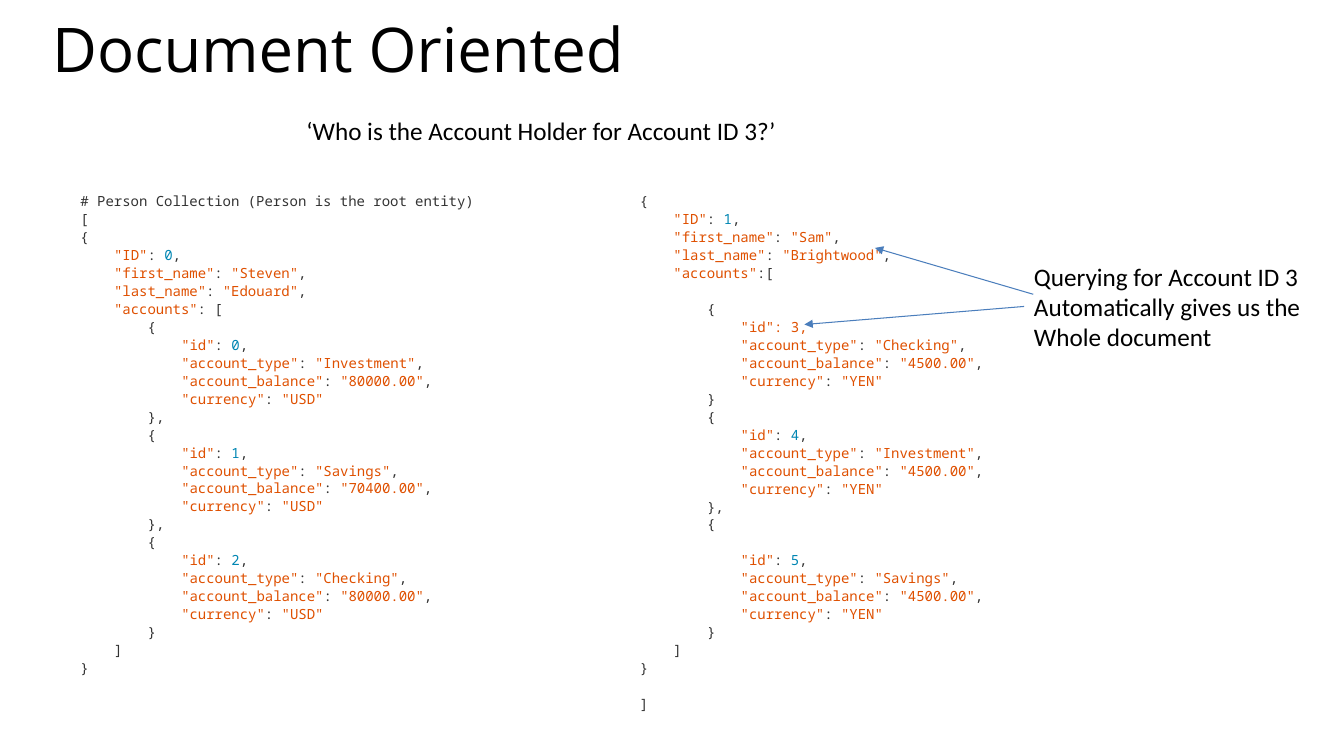
from itertools import groupby
from lxml.etree import SubElement
from pptx import Presentation
from pptx.dml.color import RGBColor
from pptx.enum.shapes import MSO_CONNECTOR
from pptx.enum.text import MSO_ANCHOR, MSO_AUTO_SIZE as AutoSize
from pptx.oxml.ns import qn
from pptx.util import Pt

TITLE = "Document Oriented"
QUESTION = "‘Who is the Account Holder for Account ID 3?’"
ANSWER = ["Querying for Account ID 3", "Automatically gives us the", "Whole document"]
ACCOUNT = """        {{{gap}
            "id": {id},
            "account_type": "{type}",
            "account_balance": "{balance}",
            "currency": "{currency}"
        }}{end}"""
ACCOUNT_FIELDS = ("id", "type", "balance", "currency", "end", "gap")
STEVEN_ACCOUNTS = [
    (0, "Investment", "80000.00", "USD", ",", ""),
    (1, "Savings", "70400.00", "USD", ",", ""),
    (2, "Checking", "80000.00", "USD", "", ""),
]
SAM_ACCOUNTS = [
    (3, "Checking", "4500.00", "YEN", "", ""),
    (4, "Investment", "4500.00", "YEN", ",", ""),
    (5, "Savings", "4500.00", "YEN", "", "\n"),
]
STEVEN = """# Person Collection (Person is the root entity)
[
{{
    "ID": 0,
    "first_name": "Steven",
    "last_name": "Edouard",
    "accounts": [
{accounts}
    ]
}}"""
SAM = """{{
    "ID": 1,
    "first_name": "Sam",
    "last_name": "Brightwood",
    "accounts":[

{accounts}
    ]
}}

]"""
QUERIED_LINE = '"id": 3,'
LISTINGS = [
    (STEVEN, STEVEN_ACCOUNTS, (50.4, 131.8, 301, 357.1)),
    (SAM, SAM_ACCOUNTS, (450, 131.8, 480.2, 383)),
]
ARROWS = [((731.5, 218.9), (574.6, 231.8)), ((738, 210.2), (625, 177.1))]

THEME = {
    "title": ("Open Sans", 44, "000000"),
    "body": ("Calibri", 18, "000000"),
    "code": ("Noto Sans Mono", 10, "333333"),
    "string": "DF5000",
    "number": "0086B3",
    "arrow": "4B7EBC",
    "arrow_width": 0.75,
    "code_line": 12.84,
    "code_top": 4.8,
    "indent": 6,
}


def set_font(font, style):
    font.name, size, color = THEME[style]
    font.size = Pt(size)
    font.color.rgb = RGBColor.from_string(color)


def add_text_frame(slide, box, wrap=True, auto_size=AutoSize.SHAPE_TO_FIT_TEXT):
    shape = slide.shapes.add_textbox(*map(Pt, box))
    frame = shape.text_frame
    frame.word_wrap = wrap
    frame.auto_size = auto_size
    frame.vertical_anchor = MSO_ANCHOR.TOP
    return frame


def add_lines(frame, lines, style):
    for index, line in enumerate(lines):
        paragraph = frame.add_paragraph() if index else frame.paragraphs[0]
        paragraph.text = line
        set_font(paragraph.font, style)


def color_tokens(line):
    if line == QUERIED_LINE:
        return [(line, "string")]
    tokens = []
    for index, part in enumerate(line.split('"')):
        if index % 2:
            tokens.append((f'"{part}"', "string"))
        else:
            for is_number, letters in groupby(part, str.isdigit):
                tokens.append(("".join(letters), "number" if is_number else None))
    return tokens


def add_listing(slide, template, accounts, box):
    blocks = [ACCOUNT.format(**dict(zip(ACCOUNT_FIELDS, account))) for account in accounts]
    frame = add_text_frame(slide, box)
    frame.margin_top = Pt(THEME["code_top"])
    paragraph, gap = frame.paragraphs[0], 0
    for index, line in enumerate(template.format(accounts="\n".join(blocks)).split("\n")):
        code = line.strip()
        if not code:
            gap = THEME["code_line"]
            continue
        if index:
            paragraph = frame.add_paragraph()
        set_font(paragraph.font, "code")
        paragraph.line_spacing = Pt(THEME["code_line"])
        paragraph.space_before = Pt(gap)
        gap = 0
        indent = (len(line) - len(code)) * THEME["indent"]
        properties = paragraph._p.get_or_add_pPr()
        properties.set("marL", str(Pt(indent)))
        properties.set("indent", "0")
        for text, kind in color_tokens(code):
            run = paragraph.add_run()
            run.text = text
            if kind:
                run.font.color.rgb = RGBColor.from_string(THEME[kind])


def add_arrow(slide, start, end):
    arrow = slide.shapes.add_connector(MSO_CONNECTOR.STRAIGHT, *map(Pt, start + end))
    arrow.line.color.rgb = RGBColor.from_string(THEME["arrow"])
    arrow.line.width = Pt(THEME["arrow_width"])
    SubElement(arrow.line._get_or_add_ln(), qn("a:tailEnd"), type="triangle")
    SubElement(arrow._element.spPr, qn("a:effectLst"))


presentation = Presentation()
presentation.slide_width, presentation.slide_height = Pt(960), Pt(540)
slide = presentation.slides.add_slide(presentation.slide_layouts[6])

title = add_text_frame(slide, (30.2, 14.4, 907.2, 83.5), auto_size=AutoSize.NONE)
add_lines(title, [TITLE], "title")
title.paragraphs[0].line_spacing = 0.8

for template, accounts, box in LISTINGS:
    add_listing(slide, template, accounts, box)

add_lines(add_text_frame(slide, (211.7, 78.5, 354.2, 51.1), wrap=False), [QUESTION], "body")
add_lines(add_text_frame(slide, (731.5, 182.9, 211, 72.7), wrap=False), ANSWER, "body")

for start, end in ARROWS:
    add_arrow(slide, start, end)

presentation.save("out.pptx")
